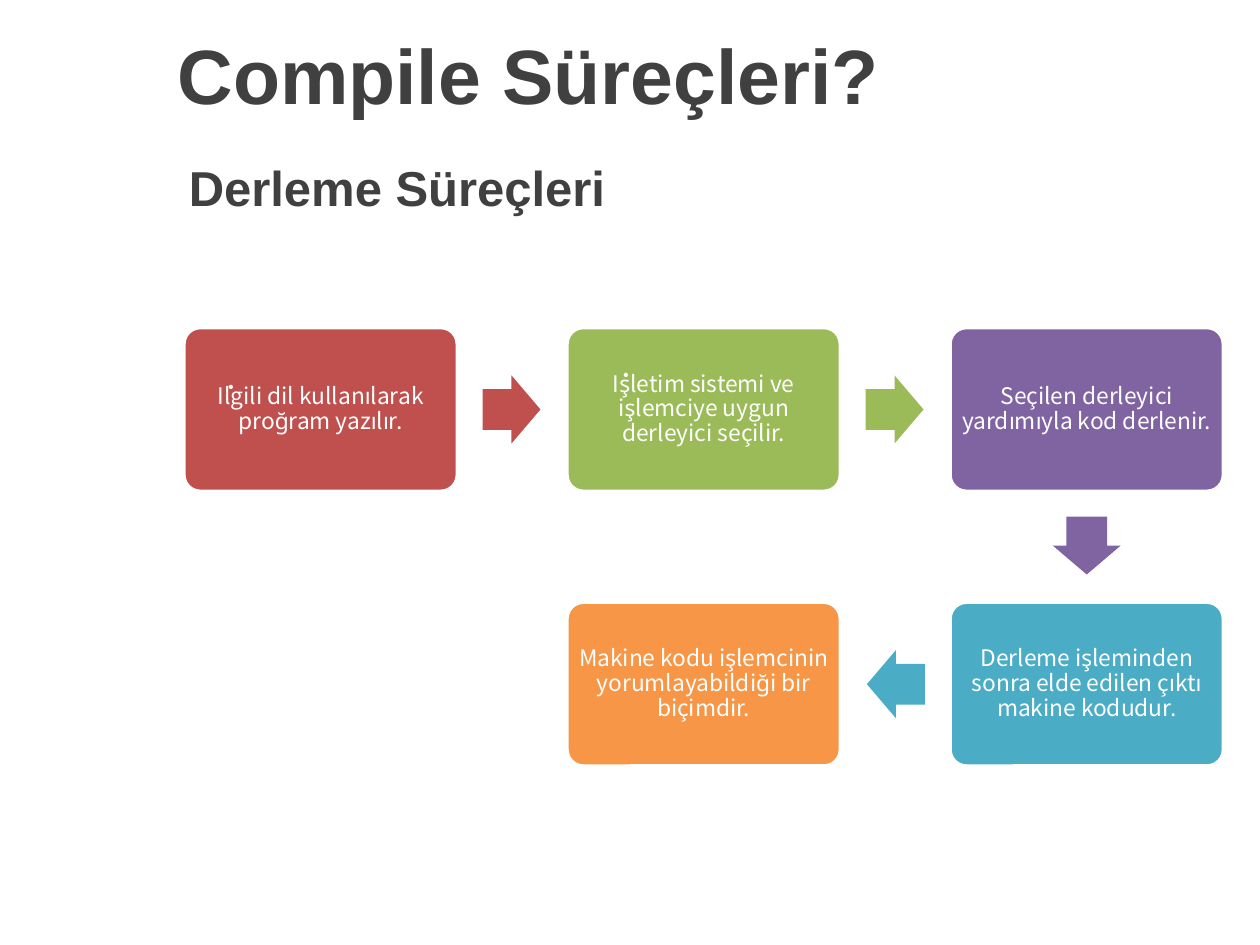
from pptx import Presentation
from pptx.dml.color import RGBColor
from pptx.enum.shapes import MSO_SHAPE
from pptx.enum.text import MSO_ANCHOR, PP_ALIGN
from pptx.util import Inches, Pt

ROUNDED, ARROW = MSO_SHAPE.ROUNDED_RECTANGLE, MSO_SHAPE.RIGHT_ARROW
MIDDLE = MSO_ANCHOR.MIDDLE
LEFT, CENTER = PP_ALIGN.LEFT, PP_ALIGN.CENTER

# text, (left, top, width, height), font size
HEADINGS = [
    ("Compile Süreçleri?", (1.31, 0, 8.29, 1.17), 44),
    ("Derleme Süreçleri", (1.4, 1.23, 7.38, 0.5), 28),
]
# text, colour, (column, row), in reading order of the process
STEPS = [
    ("İlgili dil kullanılarak proğram yazılır.", "C0504D", (0, 0)),
    ("İşletim sistemi ve işlemciye uygun derleyici seçilir.", "9BBB59", (1, 0)),
    ("Seçilen derleyici yardımıyla kod derlenir.", "8064A2", (2, 0)),
    ("Derleme işleminden sonra elde edilen çıktı makine kodudur.", "4BACC6", (2, 1)),
    ("Makine kodu işlemcinin yorumlayabildiği bir biçimdir.", "F79646", (1, 1)),
]
ROTATIONS = {(1, 0): 0, (0, 1): 90, (-1, 0): 180}

GRID_LEFT, GRID_TOP = 1.46, 2.6
COLUMN_PITCH, ROW_PITCH = 3.04, 2.18
BOX_WIDTH, BOX_HEIGHT = 2.17, 1.3
ARROW_LENGTH, ARROW_BREADTH, ARROW_GAP = 0.46, 0.54, 0.2

HEADING_FONT = {"name": "Arial", "bold": True}
STEP_FONT = {"name": "Noto Sans CJK KR", "size": Pt(13)}
STEP_FRAME = {"margin_" + side: Inches(0.05) for side in ("left", "top", "right", "bottom")}


def color(hex_value):
    return RGBColor.from_string(hex_value)


def set_all(target, values):
    for name, value in values.items():
        setattr(target, name, value)


def write(shape, text, font, text_color, alignment, frame_format):
    frame = shape.text_frame
    set_all(frame, {"word_wrap": True, "vertical_anchor": MIDDLE, **frame_format})
    paragraph = frame.paragraphs[0]
    paragraph.alignment = alignment
    run = paragraph.add_run()
    run.text = text
    set_all(run.font, font)
    run.font.color.rgb = color(text_color)
    return paragraph


def add_filled(slide, kind, bounds, fill, adjustments):
    shape = slide.shapes.add_shape(kind, *map(Inches, bounds))
    shape.shadow.inherit = False
    shape.fill.solid()
    shape.fill.fore_color.rgb = color(fill)
    shape.line.fill.background()
    for index, value in enumerate(adjustments):
        shape.adjustments[index] = value
    return shape


def add_step(slide, text, fill, cell):
    column, row = cell
    bounds = (GRID_LEFT + column * COLUMN_PITCH, GRID_TOP + row * ROW_PITCH,
              BOX_WIDTH, BOX_HEIGHT)
    box = add_filled(slide, ROUNDED, bounds, fill, [0.1])
    box.line.color.rgb = color("FFFFFF")
    box.line.width = Pt(2)
    paragraph = write(box, text, STEP_FONT, "FFFFFF", CENTER, STEP_FRAME)
    paragraph.line_spacing = 0.9


def add_step_arrow(slide, fill, cell, next_cell):
    """Place an arrow a fixed gap beyond the box edge that faces the next step."""
    column, row = cell
    across, down = next_cell[0] - column, next_cell[1] - row
    reach = ARROW_GAP + ARROW_LENGTH / 2
    center_x = GRID_LEFT + column * COLUMN_PITCH + BOX_WIDTH / 2 + across * (BOX_WIDTH / 2 + reach)
    center_y = GRID_TOP + row * ROW_PITCH + BOX_HEIGHT / 2 + down * (BOX_HEIGHT / 2 + reach)
    bounds = (center_x - ARROW_LENGTH / 2, center_y - ARROW_BREADTH / 2,
              ARROW_LENGTH, ARROW_BREADTH)
    arrow = add_filled(slide, ARROW, bounds, fill, [0.6, 0.5])
    arrow.rotation = ROTATIONS[across, down]


def main():
    presentation = Presentation()
    presentation.slide_width, presentation.slide_height = Inches(10), Inches(7.5)
    slide = presentation.slides.add_slide(presentation.slide_layouts[6])

    for text, bounds, size in HEADINGS:
        heading = slide.shapes.add_textbox(*map(Inches, bounds))
        write(heading, text, {**HEADING_FONT, "size": Pt(size)}, "404040", LEFT, {})

    for step in STEPS:
        add_step(slide, *step)
    for (_, fill, cell), (_, _, next_cell) in zip(STEPS, STEPS[1:]):
        add_step_arrow(slide, fill, cell, next_cell)

    presentation.save("out.pptx")


if __name__ == "__main__":
    main()
